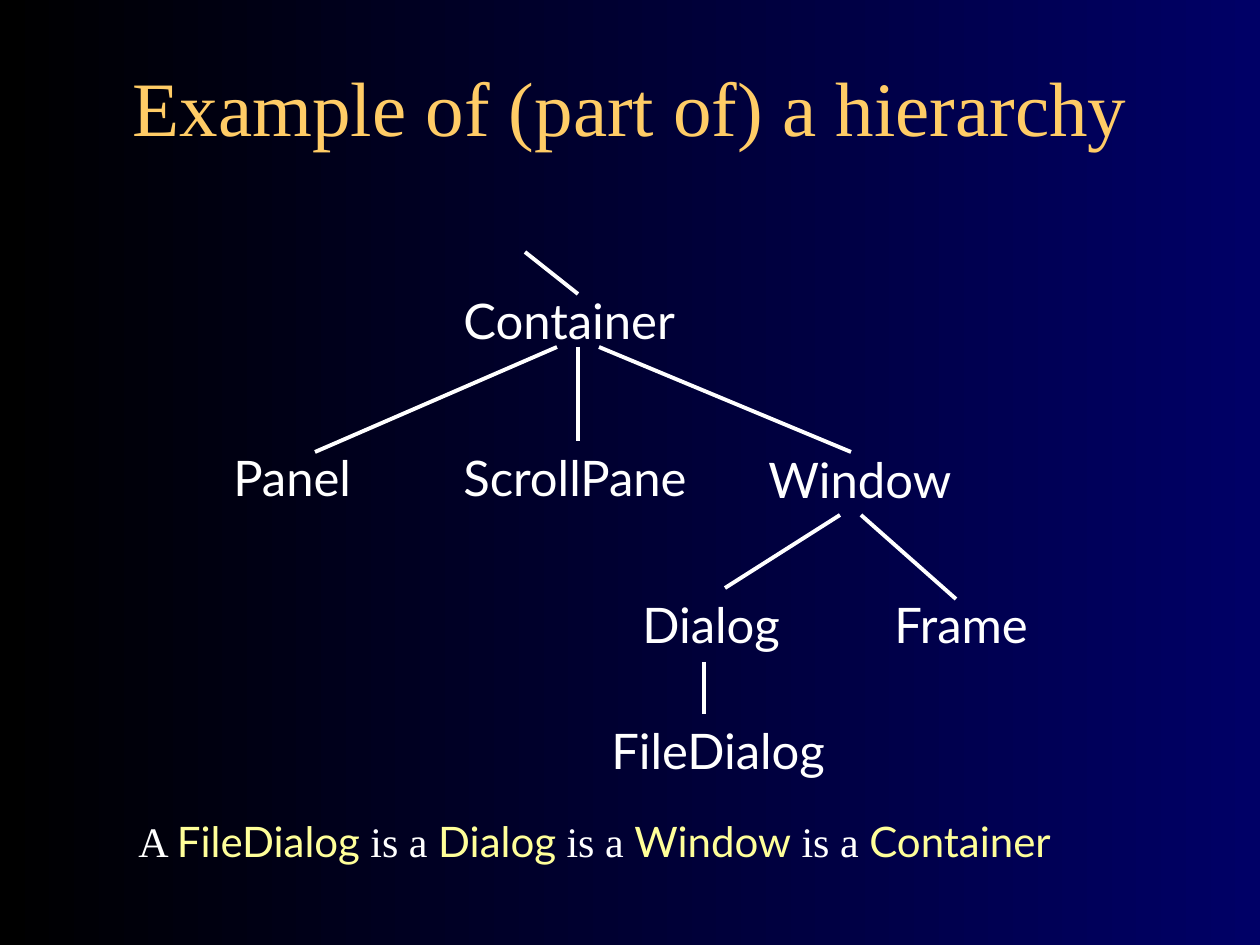
"""Build a slide that shows part of a class hierarchy."""
from dataclasses import dataclass

from lxml.etree import SubElement
from pptx import Presentation
from pptx.dml.color import RGBColor as Rgb
from pptx.enum.shapes import MSO_CONNECTOR as Link
from pptx.enum.text import MSO_ANCHOR as Anchor, PP_ALIGN as Align
from pptx.oxml.ns import qn
from pptx.slide import Slide
from pptx.util import Emu, Pt


@dataclass(frozen=True)
class Theme:
    """Colours, fonts and type sizes."""
    dark: Rgb = Rgb(0, 0, 0)
    blue: Rgb = Rgb(0, 0, 0x66)
    gold: Rgb = Rgb(0xFF, 0xCC, 0x66)
    pale: Rgb = Rgb(0xFF, 0xFF, 0x99)
    white: Rgb = Rgb(0xFF, 0xFF, 0xFF)
    serif: str = "Times New Roman"
    sans: str = "Lato"
    head: Pt = Pt(44)
    node: Pt = Pt(28)
    note: Pt = Pt(24)
    rule: Pt = Pt(2.25)


@dataclass(frozen=True)
class Run:
    """Words in one style."""
    text: str
    size: Pt
    face: str
    tint: Rgb


@dataclass(frozen=True)
class Label:
    """A text box with its place in pixels."""
    left: int
    top: int
    width: int
    height: int
    runs: tuple[Run, ...]
    align: Align = Align.LEFT
    anchor: Anchor = Anchor.TOP


@dataclass(frozen=True)
class Edge:
    """A line between two points in pixels."""
    x1: int
    y1: int
    x2: int
    y2: int


def px(count: int) -> Emu:
    """Turn pixels into EMU."""
    return Emu(round(count * 914400 / 126))


def apply(target: object, values: dict[str, object]) -> None:
    """Set each named value on the target."""
    for name, value in values.items():
        setattr(target, name, value)


def draw_label(slide: Slide, label: Label) -> None:
    """Draw a text box and its runs."""
    place = map(px, (label.left, label.top, label.width, label.height))
    frame = slide.shapes.add_textbox(*place).text_frame
    apply(frame, {"word_wrap": True, "vertical_anchor": label.anchor})
    line = frame.paragraphs[0]
    line.alignment = label.align
    for run in label.runs:
        part = line.add_run()
        part.text = run.text
        apply(part.font, {"size": run.size, "name": run.face})
        part.font.color.rgb = run.tint


def draw_edge(slide: Slide, edge: Edge, theme: Theme) -> None:
    """Draw a plain line."""
    ends = map(px, (edge.x1, edge.y1, edge.x2, edge.y2))
    link = slide.shapes.add_connector(Link.STRAIGHT, *ends)
    link.line.width = theme.rule
    link.line.color.rgb = theme.white
    SubElement(link.element.spPr, qn("a:effectLst"))


def paint(slide: Slide, theme: Theme) -> None:
    """Fill the back with a blend from left to right."""
    fill = slide.background.fill
    fill.gradient()
    fill.gradient_angle = 0
    for stop, tint in zip(fill.gradient_stops, (theme.dark, theme.blue)):
        stop.color.rgb = tint


NODES = (
    ("Container", 451, 284, 378),
    ("Panel", 221, 441, 168),
    ("ScrollPane", 451, 441, 262),
    ("Window", 756, 443, 210),
    ("Dialog", 630, 588, 179),
    ("Frame", 882, 588, 179),
    ("FileDialog", 599, 714, 262),
)
EDGES = (
    Edge(557, 347, 315, 452),
    Edge(578, 347, 578, 441),
    Edge(599, 347, 851, 452),
    Edge(840, 515, 725, 588),
    Edge(861, 515, 956, 599),
    Edge(704, 662, 704, 714),
    Edge(578, 294, 525, 252),
)
CHAIN = ("FileDialog", "Dialog", "Window", "Container")


def note_runs(theme: Theme) -> tuple[Run, ...]:
    """Join the chain of names into one sentence."""
    runs = []
    for place, name in enumerate(CHAIN):
        lead = " is a " if place else "A "
        runs.append(Run(lead, theme.note, theme.serif, theme.white))
        runs.append(Run(name, theme.note, theme.sans, theme.pale))
    return tuple(runs)


def main() -> None:
    """Build and save the slide."""
    theme = Theme()
    deck = Presentation()
    apply(deck, {"slide_width": px(1260), "slide_height": px(945)})
    slide = deck.slides.add_slide(deck.slide_layouts[6])
    paint(slide, theme)
    title = Run("Example of (part of) a hierarchy", theme.head, theme.serif, theme.gold)
    draw_label(slide, Label(95, 53, 1071, 105, (title,), Align.CENTER, Anchor.MIDDLE))
    draw_label(slide, Label(126, 809, 1061, 63, note_runs(theme)))
    for name, left, top, width in NODES:
        run = Run(name, theme.node, theme.sans, theme.white)
        draw_label(slide, Label(left, top, width, 72, (run,)))
    for edge in EDGES:
        draw_edge(slide, edge, theme)
    deck.save("out.pptx")


main()
